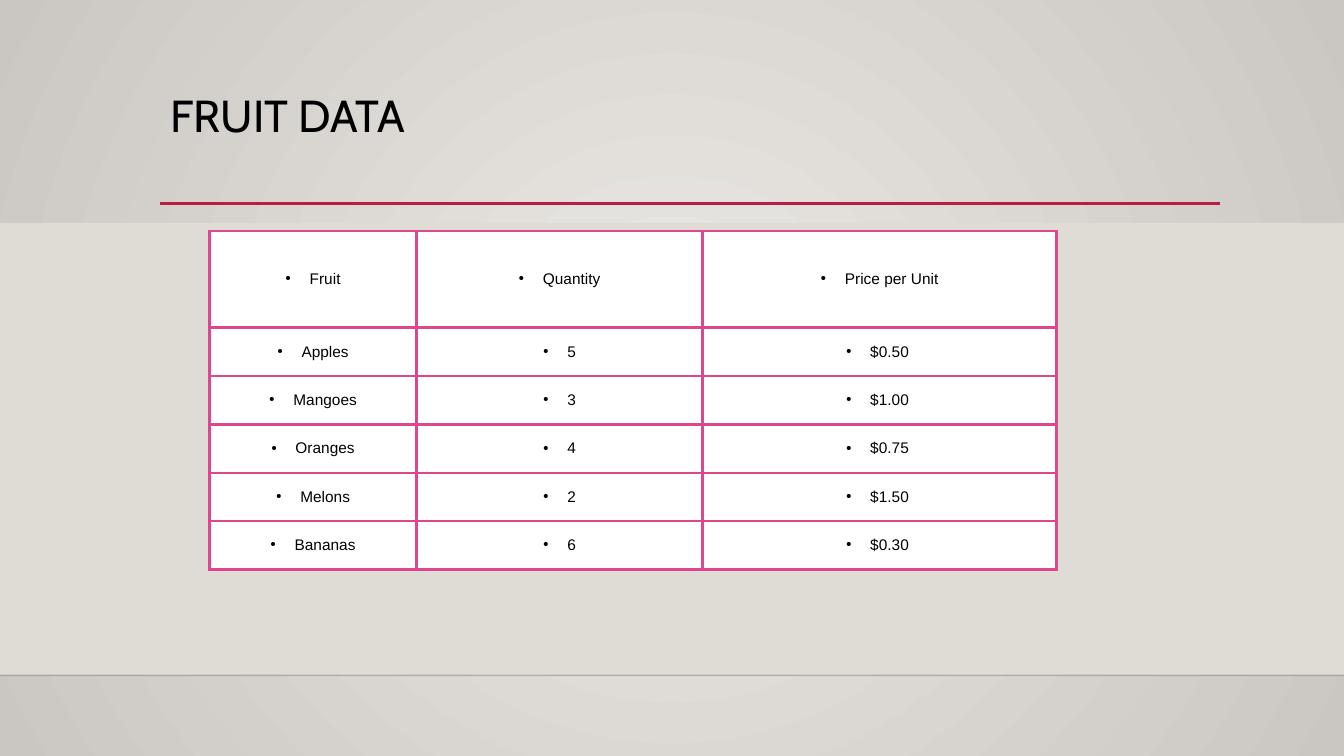
from lxml.etree import SubElement
from pptx import Presentation
from pptx.dml.color import RGBColor
from pptx.enum.shapes import MSO_CONNECTOR, MSO_SHAPE
from pptx.enum.text import MSO_ANCHOR, PP_ALIGN
from pptx.oxml.ns import qn
from pptx.util import Inches, Pt

TITLE = "FRUIT DATA"
ROWS = [
    ("Fruit", "Quantity", "Price per Unit"),
    ("Apples", "5", "$0.50 "),
    ("Mangoes", "3", "$1.00 "),
    ("Oranges", "4", "$0.75 "),
    ("Melons", "2", "$1.50 "),
    ("Bananas", "6", "$0.30 "),
]
COLUMN_WIDTHS = (2.05, 2.84, 3.51)
HEADER_HEIGHT, ROW_HEIGHT = 0.96, 0.48
TABLE_LEFT, TABLE_TOP = 2.08, 2.29
PAGE_WIDTH, PAGE_HEIGHT = 13.33, 7.5
BAND_TOP, BAND_BOTTOM = 2.21, 6.7

BLACK = RGBColor(0x00, 0x00, 0x00)
NEAR_BLACK = RGBColor(0x00, 0x00, 0x01)
WHITE = RGBColor(0xFF, 0xFF, 0xFF)
PALE = RGBColor(0xEC, 0xEA, 0xE7)
STONE = RGBColor(0xCA, 0xC6, 0xC1)
SAND = RGBColor(0xDF, 0xDB, 0xD5)
CRIMSON = RGBColor(0xB7, 0x1E, 0x42)
PINK = RGBColor(0xDE, 0x47, 0x8E)


def add(parent, tag, **attributes):
    return SubElement(parent, qn(tag), attributes)


def paint_background(page):
    """Fill the page with a gradient that spreads in circles from the centre."""
    fill = page.background.fill
    fill.gradient()
    for stop, color in zip(fill.gradient_stops, (PALE, STONE)):
        stop.color.rgb = color
    gradient = page.element.find(".//" + qn("a:gradFill"))
    linear = gradient.find(qn("a:lin"))
    circle = add(gradient, "a:path", path="circle")
    add(circle, "a:fillToRect", l="50000", t="50000", r="50000", b="50000")
    gradient.replace(linear, circle)


def add_rule(page, left, right, y, color, width):
    rule = page.shapes.add_connector(
        MSO_CONNECTOR.STRAIGHT, Inches(left), Inches(y), Inches(right), Inches(y))
    rule.line.color.rgb = color
    rule.line.width = Pt(width)
    add(rule._element.spPr, "a:effectLst")
    return rule


def add_title(page):
    box = page.shapes.add_textbox(Inches(1.59), Inches(0.88), Inches(10.5), Inches(1.15))
    box.text_frame.word_wrap = True
    para = box.text_frame.paragraphs[0]
    para.text = TITLE
    para.line_spacing = 0.9
    set_font(para, "Cabin", 32)


def set_font(para, name, size):
    para.font.name = name
    para.font.size = Pt(size)
    para.font.color.rgb = BLACK


def add_bullet(para):
    props = para._p.get_or_add_pPr()
    props.set("marL", str(Inches(0.24)))
    props.set("indent", str(-Inches(0.24)))
    add(add(props, "a:buClr"), "a:srgbClr", val=str(BLACK))
    add(props, "a:buSzPct", val="45000")
    add(props, "a:buChar", char="●")


def add_borders(cell):
    props = cell._tc.get_or_add_tcPr()
    for side in ("a:lnL", "a:lnR", "a:lnT", "a:lnB"):
        line = add(props, side, w=str(Pt(1.98)))
        add(add(line, "a:solidFill"), "a:srgbClr", val=str(PINK))


def fill_cell(cell, text):
    add_borders(cell)
    cell.fill.solid()
    cell.fill.fore_color.rgb = WHITE
    cell.vertical_anchor = MSO_ANCHOR.MIDDLE
    cell.margin_left = cell.margin_right = Inches(0.01)
    cell.margin_top = cell.margin_bottom = Inches(0.05)
    para = cell.text_frame.paragraphs[0]
    para.text = text
    para.alignment = PP_ALIGN.CENTER
    add_bullet(para)
    set_font(para, "Arial", 11)


def add_fruit_table(page):
    heights = [HEADER_HEIGHT] + [ROW_HEIGHT] * (len(ROWS) - 1)
    table = page.shapes.add_table(
        len(ROWS), len(COLUMN_WIDTHS), Inches(TABLE_LEFT), Inches(TABLE_TOP),
        Inches(sum(COLUMN_WIDTHS)), Inches(sum(heights))).table
    for column, width in zip(table.columns, COLUMN_WIDTHS):
        column.width = Inches(width)
    for row, height, texts in zip(table.rows, heights, ROWS):
        row.height = Inches(height)
        for cell, text in zip(row.cells, texts):
            fill_cell(cell, text)


def main():
    deck = Presentation()
    deck.slide_width, deck.slide_height = Inches(PAGE_WIDTH), Inches(PAGE_HEIGHT)
    page = deck.slides.add_slide(deck.slide_layouts[6])
    paint_background(page)

    band = page.shapes.add_shape(
        MSO_SHAPE.RECTANGLE, 0, Inches(BAND_TOP),
        Inches(PAGE_WIDTH), Inches(BAND_BOTTOM - BAND_TOP))
    band.shadow.inherit = False
    band.fill.solid()
    band.fill.fore_color.rgb = SAND
    band.line.fill.background()

    edge = add_rule(page, 0, PAGE_WIDTH, BAND_BOTTOM, NEAR_BLACK, 1)
    add(edge._element.spPr.find(".//" + qn("a:srgbClr")), "a:alpha", val="20000")
    add_rule(page, 1.59, 12.1, 2.02, CRIMSON, 2.5)

    add_title(page)
    add_fruit_table(page)
    deck.save("out.pptx")


if __name__ == "__main__":
    main()
